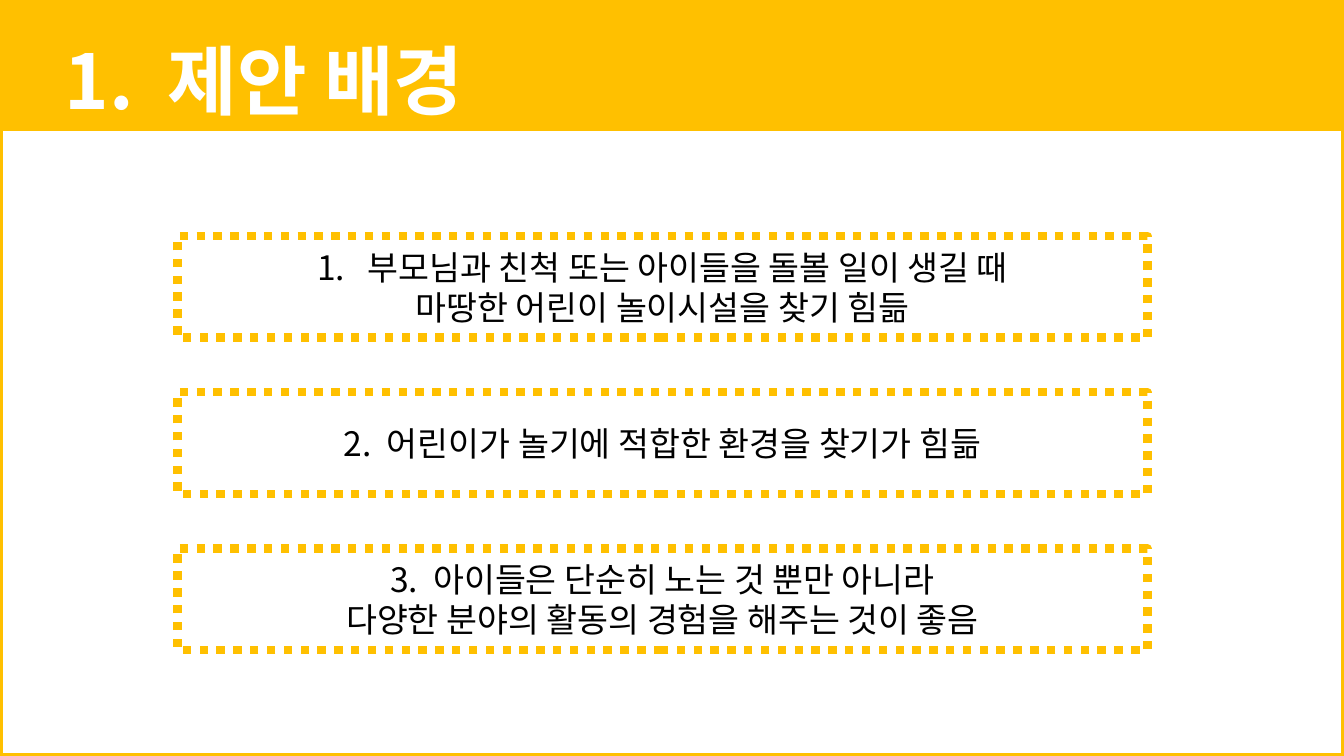
from dataclasses import dataclass

from lxml.etree import SubElement
from pptx import Presentation
from pptx.dml.color import RGBColor
from pptx.enum.dml import MSO_LINE
from pptx.enum.shapes import MSO_SHAPE
from pptx.enum.text import MSO_ANCHOR, MSO_AUTO_SIZE, PP_ALIGN
from pptx.oxml.ns import qn
from pptx.shapes.autoshape import Shape
from pptx.slide import Slide
from pptx.text.text import _Paragraph
from pptx.util import Inches, Pt

COLORS = {"amber": "FFC000", "white": "FFFFFF", "black": "000000"}
FONT = "Noto Sans CJK KR"
PAGE_WIDTH, PAGE_HEIGHT = 13.33, 7.5
BAND_HEIGHT = 1.3
REASON_LEFT, REASON_TOP = 1.76, 2.34
REASON_WIDTH, REASON_HEIGHT = 9.62, 1.01
REASON_PITCH = 1.55
SPACE_SHARE = 0.224


@dataclass
class Reason:
    lines: list[str]
    numbered: bool = False


REASONS = [
    Reason(["부모님과 친척 또는 아이들을 돌볼 일이 생길 때", "마땅한 어린이 놀이시설을 찾기 힘듦"], True),
    Reason(["2. 어린이가 놀기에 적합한 환경을 찾기가 힘듦"]),
    Reason(["3. 아이들은 단순히 노는 것 뿐만 아니라", "다양한 분야의 활동의 경험을 해주는 것이 좋음"]),
]


def color(name: str) -> RGBColor:
    return RGBColor.from_string(COLORS[name])


def write(para: _Paragraph, text: str, size: int, color_name: str, bold: bool = False) -> None:
    number, dot, rest = text.partition(". ")
    pieces = [number + ".", " ", rest] if dot else [text]
    para.text = pieces[0]
    for piece in pieces[1:]:
        para.add_run().text = piece
    for span in para.runs:
        span.font.size = Pt(size)
        span.font.bold = bold
        span.font.name = FONT
        span.font.color.rgb = color(color_name)
        properties = span.font._element
        SubElement(properties, qn("a:ea")).set("typeface", FONT)
        if span.text == " ":
            properties.set("spc", str(round(size * SPACE_SHARE * 100)))


def number_paragraph(para: _Paragraph) -> None:
    properties = para._p.get_or_add_pPr()
    properties.set("marL", str(Inches(0.5)))
    properties.set("indent", str(Inches(-0.5)))
    SubElement(properties, qn("a:buFont")).set("typeface", "+mj-lt")
    SubElement(properties, qn("a:buAutoNum")).set("type", "arabicPeriod")


def add_box(page: Slide, left: float, top: float, width: float, height: float) -> Shape:
    box = page.shapes.add_shape(
        MSO_SHAPE.RECTANGLE, Inches(left), Inches(top), Inches(width), Inches(height)
    )
    box.shadow.inherit = False
    box.fill.background()
    box.line.fill.background()
    return box


def outline(box: Shape, width: float) -> None:
    box.line.color.rgb = color("amber")
    box.line.width = Pt(width)


def add_reason(page: Slide, row: int, reason: Reason) -> None:
    top = REASON_TOP + row * REASON_PITCH
    box = add_box(page, REASON_LEFT, top, REASON_WIDTH, REASON_HEIGHT)
    outline(box, 6)
    box.line.dash_style = MSO_LINE.ROUND_DOT
    frame = box.text_frame
    frame.word_wrap = True
    frame.vertical_anchor = MSO_ANCHOR.MIDDLE
    frame.text = "\n".join(reason.lines)
    if reason.numbered:
        number_paragraph(frame.paragraphs[0])
    for para, line in zip(frame.paragraphs, reason.lines):
        para.alignment = PP_ALIGN.CENTER
        write(para, line, 24, "black")


def place_title(page: Slide) -> None:
    title = page.shapes.title
    title.left, title.top = Inches(0.54), Inches(0.29)
    title.width, title.height = Inches(10.85), Inches(1.01)
    frame = title.text_frame
    frame.word_wrap = True
    frame.auto_size = MSO_AUTO_SIZE.SHAPE_TO_FIT_TEXT
    frame.vertical_anchor = MSO_ANCHOR.TOP
    para = frame.paragraphs[0]
    para.alignment = PP_ALIGN.LEFT
    write(para, "1. 제안 배경", 54, "white", True)
    page.shapes._spTree.append(title._element)


def main() -> None:
    deck = Presentation()
    deck.slide_width, deck.slide_height = Inches(PAGE_WIDTH), Inches(PAGE_HEIGHT)
    page = deck.slides.add_slide(deck.slide_layouts[5])
    page.background.fill.solid()
    page.background.fill.fore_color.rgb = color("white")
    outline(add_box(page, 0, 0, PAGE_WIDTH, PAGE_HEIGHT), 4.5)
    band = add_box(page, 0, 0, PAGE_WIDTH, BAND_HEIGHT)
    band.fill.solid()
    band.fill.fore_color.rgb = color("amber")
    place_title(page)
    for row, reason in enumerate(REASONS):
        add_reason(page, row, reason)
    deck.save("out.pptx")


if __name__ == "__main__":
    main()
